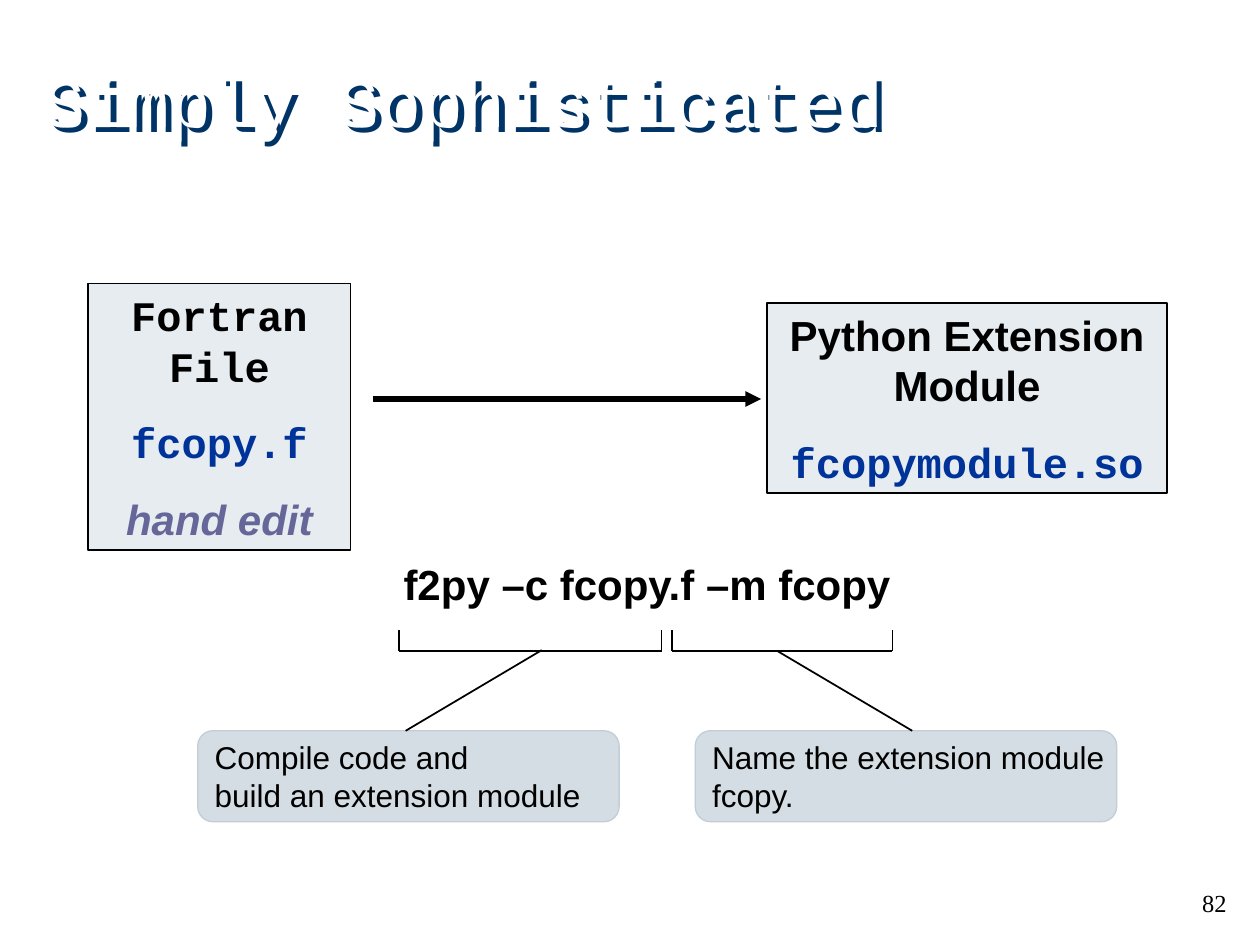
from lxml import etree
from pptx import Presentation
from pptx.dml.color import RGBColor
from pptx.enum.shapes import MSO_CONNECTOR, MSO_SHAPE
from pptx.enum.text import MSO_ANCHOR, PP_ALIGN
from pptx.oxml.ns import qn
from pptx.util import Pt

RECT, ROUND = MSO_SHAPE.RECTANGLE, MSO_SHAPE.ROUNDED_RECTANGLE
LINE = MSO_CONNECTOR.STRAIGHT
TOP, MIDDLE = MSO_ANCHOR.TOP, MSO_ANCHOR.MIDDLE
LEFT, CENTER, RIGHT = PP_ALIGN.LEFT, PP_ALIGN.CENTER, PP_ALIGN.RIGHT
SANS, MONO, SERIF = "Arial", "Courier New", "Times New Roman"
BLACK, WHITE, BLUE = "000000", "FFFFFF", "003399"
PURPLE, NAVY, PALE, STEEL = "666699", "003366", "E7ECF0", "C1CED7"


def color(hex):
    """Return the colour for a hex string."""
    return RGBColor.from_string(hex)


def node(parent, tag, **attrs):
    """Append an XML element to a parent and return it."""
    return etree.SubElement(parent, qn(tag), attrs)


def write(shape, paras, size, bold=False, align=CENTER, anchor=TOP,
          wrap=True, right=7.2):
    """Fill a shape with paragraphs of (text, font, colour, italic)."""
    frame = shape.text_frame
    frame.word_wrap = wrap
    frame.vertical_anchor = anchor
    frame.margin_left, frame.margin_right = Pt(7.2), Pt(right)
    frame.margin_top = frame.margin_bottom = Pt(3.6)
    for i, (text, font, hue, italic) in enumerate(paras):
        para = frame.add_paragraph() if i else frame.paragraphs[0]
        para.alignment = align
        para.space_before = Pt(15 if i else 0)
        for j, part in enumerate(text.split("\n")):
            if j:
                para.add_line_break()
            run = para.add_run()
            run.text = part
            run.font.name, run.font.size = font, Pt(size)
            run.font.bold, run.font.italic = bold, italic
            run.font.color.rgb = color(hue)


def panel(slide, kind, box, fill, edge, width):
    """Add a filled, outlined shape without a shadow."""
    shape = slide.shapes.add_shape(kind, *map(Pt, box))
    shape.shadow.inherit = False
    shape.fill.solid()
    shape.fill.fore_color.rgb = color(fill)
    shape.line.color.rgb = color(edge)
    shape.line.width = Pt(width)
    return shape


def label(slide, box, text, font, size, hue, **style):
    """Add a text box with one paragraph."""
    shape = slide.shapes.add_textbox(*map(Pt, box))
    write(shape, [(text, font, hue, False)], size, **style)
    return shape


def title(slide, text):
    """Add the white heading with its navy shadow."""
    shape = label(slide, (18, 12, 612, 90), text, MONO, 40, WHITE,
                  align=LEFT, anchor=MIDDLE)
    effects = node(shape.element.spPr, "a:effectLst")
    shade = node(effects, "a:outerShdw", dist="53882", dir="2700000")
    node(shade, "a:srgbClr", val=NAVY)


def line(slide, start, end, width=1, arrow=False):
    """Draw a black line, with an arrowhead at its end if asked."""
    link = slide.shapes.add_connector(LINE, *map(Pt, start + end))
    link.line.color.rgb = color(BLACK)
    link.line.width = Pt(width)
    if arrow:
        node(link.line._get_or_add_ln(), "a:tailEnd", type="triangle")
    node(link.element.spPr, "a:effectLst")


def brace(slide, left, right):
    """Draw a square bracket under part of the command."""
    points = [(left, 360), (left, 372), (right, 372), (right, 360)]
    for start, end in zip(points, points[1:]):
        line(slide, start, end)


def note(slide, left, text):
    """Add a rounded, translucent callout."""
    shape = panel(slide, ROUND, (left, 417.6, 240.8, 52), STEEL, STEEL, 0.75)
    tint = shape.fill._xPr.find(".//" + qn("a:srgbClr"))
    node(tint, "a:alpha", val="69000")
    write(shape, [(text, SANS, BLACK, False)], 18, align=LEFT,
          anchor=MIDDLE, right=0)


def main():
    """Build and save the slide."""
    deck = Presentation()
    deck.slide_width, deck.slide_height = Pt(720), Pt(540)
    slide = deck.slides.add_slide(deck.slide_layouts[6])
    title(slide, "Simply Sophisticated")

    source = panel(slide, RECT, (50.4, 162, 150, 152.5), PALE, BLACK, 1)
    write(source, [("Fortran File", MONO, BLACK, False),
                   ("fcopy.f", MONO, BLUE, False),
                   ("hand edit", SANS, PURPLE, True)], 24, True)
    module = panel(slide, RECT, (438.5, 173.3, 228.3, 108.5), PALE, BLACK, 1)
    write(module, [("Python Extension Module", SANS, BLACK, False),
                   ("fcopymodule.so", MONO, BLUE, False)], 24, True)
    line(slide, (213, 228), (435, 228), 3, True)

    label(slide, (222.5, 315.5, 294.5, 36), "f2py –c fcopy.f –m fcopy",
          SANS, 24, BLACK, bold=True, wrap=False)
    brace(slide, 228, 378)
    brace(slide, 384, 510)
    note(slide, 113, "Compile code and\nbuild an extension module")
    note(slide, 397.3, "Name the extension module\nfcopy.")
    line(slide, (231.8, 417.6), (309.6, 371.5))
    line(slide, (521.3, 417.6), (444.2, 372))
    label(slide, (558, 504, 150, 36), "82", SERIF, 14, BLACK, align=RIGHT)
    deck.save("out.pptx")


if __name__ == "__main__":
    main()
